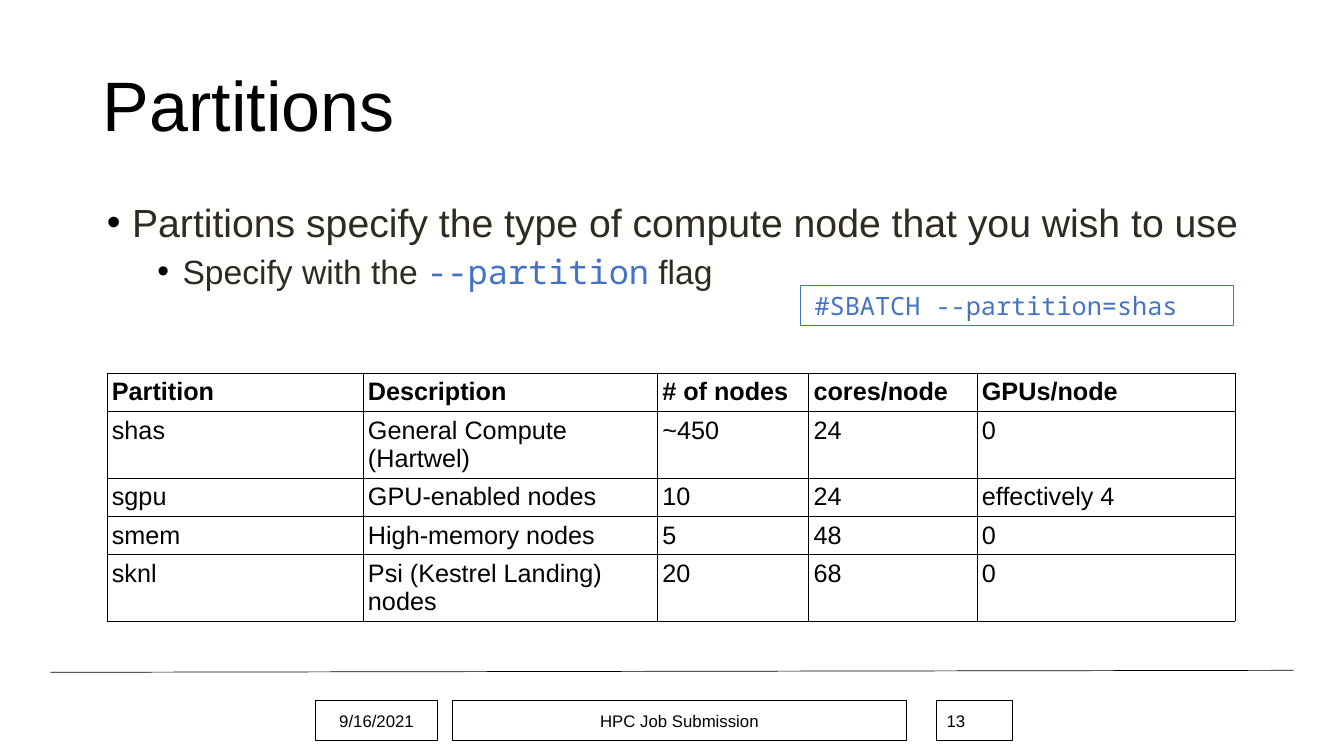
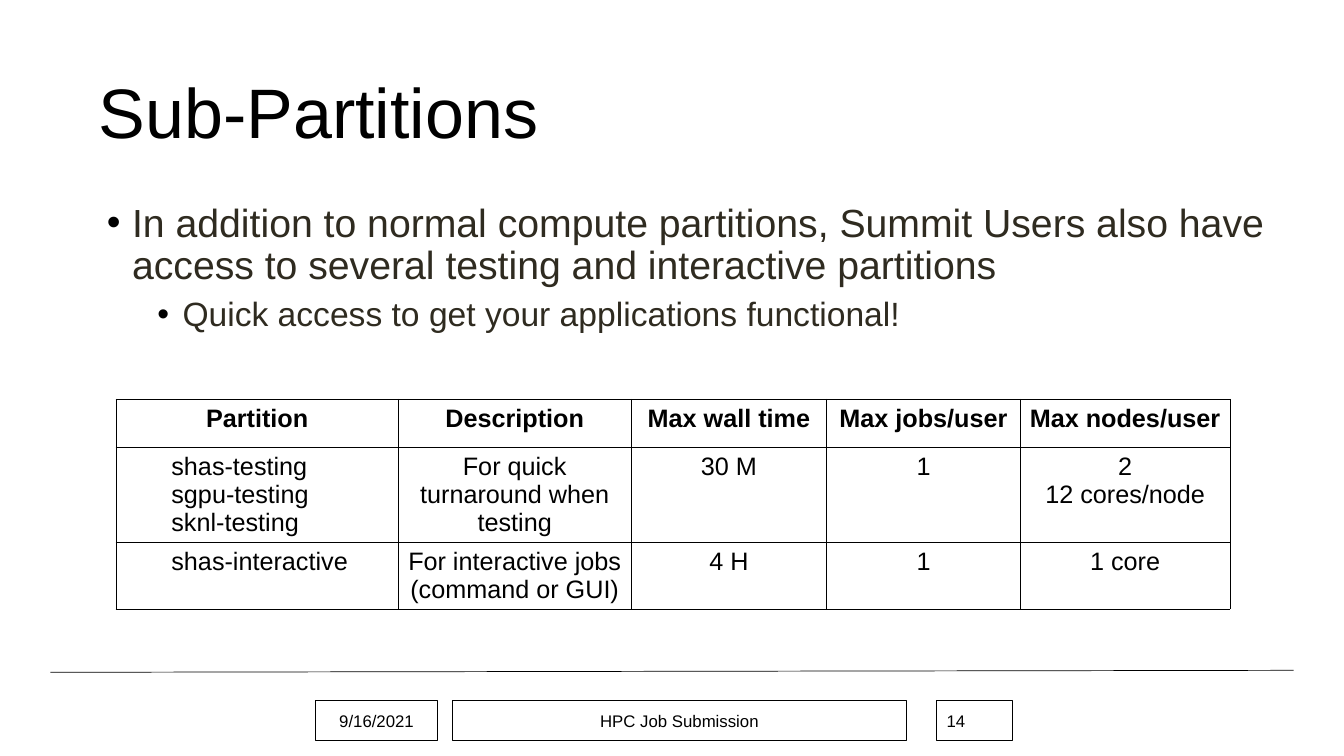
from lxml.etree import SubElement
from pptx import Presentation
from pptx.dml.color import RGBColor
from pptx.enum.shapes import MSO_CONNECTOR, MSO_SHAPE
from pptx.enum.text import MSO_ANCHOR, MSO_AUTO_SIZE, PP_ALIGN
from pptx.oxml import parse_xml
from pptx.oxml.ns import nsdecls, qn
from pptx.util import Inches, Pt

BLACK, BODY_COLOR, CODE_COLOR = "000000", "2F2B20", "4472C4"
TEXT_FONT, CODE_FONT = "Arial", "Noto Sans Mono"

FOOTERS = [
    (3.13, 1.21, "9/16/2021", PP_ALIGN.CENTER),
    (4.49, 4.5, "HPC Job Submission", PP_ALIGN.CENTER),
    (9.29, 0.75, None, PP_ALIGN.LEFT),  # page number
]

SLIDES = [
    {
        "number": 13,
        "title": "Partitions",
        "title_box": (0.92, 0.35, 11.32, 1.45),
        "bullets": [
            (0, ["Partitions specify the type of compute node that you wish to use"]),
            (1, ["Specify with the ", "--partition", " flag"]),
        ],
        "code": "#SBATCH --partition=shas",
        "table_at": (1.06, 3.7),
        "columns": [2.54, 2.92, 1.5, 1.67, 2.56],
        "row_heights": [0.33, 0.54, 0.37, 0.38, 0.54],
        "alignment": PP_ALIGN.LEFT,
        "name_indent": 0,
        "rows": [
            ["Partition", "Description", "# of nodes", "cores/node", "GPUs/node"],
            ["shas", "General Compute (Hartwel)", "~450", "24", "0"],
            ["sgpu", "GPU-enabled nodes", "10", "24", "effectively 4"],
            ["smem", "High-memory nodes", "5", "48", "0"],
            ["sknl", "Psi (Kestrel Landing) nodes", "20", "68", "0"],
        ],
    },
    {
        "number": 14,
        "title": "Sub-Partitions",
        "title_box": (0.88, 0.42, 11.5, 1.45),
        "bullets": [
            (0, ["In addition to normal compute partitions, Summit Users also have "
                 "access to several testing and interactive partitions"]),
            (1, ["Quick access to get your applications functional!"]),
        ],
        "code": None,
        "table_at": (1.15, 3.96),
        "columns": [2.8, 2.31, 1.94, 1.92, 2.08],
        "row_heights": [0.48, 0.7, 0.66],
        "alignment": PP_ALIGN.CENTER,
        "name_indent": 0.5,
        "rows": [
            ["Partition", "Description", "Max wall time", "Max jobs/user", "Max nodes/user"],
            ["shas-testing\nsgpu-testing\nsknl-testing", "For quick turnaround when testing",
             "30 M", "1", "2\n12 cores/node"],
            ["shas-interactive", "For interactive jobs (command or GUI)", "4 H", "1", "1 core"],
        ],
    },
]


def set_font(font, size, color=BLACK, name=TEXT_FONT, bold=False):
    font.size, font.name, font.bold = Pt(size), name, bold
    font.color.rgb = RGBColor.from_string(color)


def add_outlined_box(slide, box, text, alignment, color=BLACK):
    shape = slide.shapes.add_shape(MSO_SHAPE.RECTANGLE, *map(Inches, box))
    shape.shadow.inherit = False
    shape.fill.background()
    shape.line.color.rgb = RGBColor.from_string(color)
    shape.line.width = Pt(0.75)
    shape.text_frame.text = text
    paragraph = shape.text_frame.paragraphs[0]
    paragraph.alignment = alignment
    return shape.text_frame, paragraph


presentation = Presentation()
presentation.slide_width, presentation.slide_height = Inches(13.33), Inches(7.5)

for content in SLIDES:
    slide = presentation.slides.add_slide(presentation.slide_layouts[1])

    title, body = slide.placeholders
    for placeholder, box in ((title, content["title_box"]), (body, (0.92, 1.97, 11.83, 4.55))):
        placeholder.left, placeholder.top, placeholder.width, placeholder.height = map(Inches, box)
        placeholder.text_frame.auto_size = MSO_AUTO_SIZE.NONE

    title.text_frame.text = content["title"]
    title.text_frame.vertical_anchor = MSO_ANCHOR.MIDDLE
    paragraph = title.text_frame.paragraphs[0]
    paragraph.alignment = PP_ALIGN.LEFT
    paragraph.line_spacing = 0.9
    set_font(paragraph.font, 50)

    for index, (level, texts) in enumerate(content["bullets"]):
        frame = body.text_frame
        paragraph = frame.add_paragraph() if index else frame.paragraphs[0]
        paragraph.level = level
        paragraph.line_spacing = 0.9
        paragraph.space_before = Pt(6.5 if index else 0)
        properties = paragraph._p.get_or_add_pPr()
        properties.set("marL", str(Inches(0.29 + 0.5 * level)))
        properties.set("indent", str(Inches(-0.25)))
        bullet_color = SubElement(properties, qn("a:buClr"))
        SubElement(bullet_color, qn("a:srgbClr"), val=BLACK)
        SubElement(properties, qn("a:buFont"), typeface=TEXT_FONT)
        SubElement(properties, qn("a:buChar"), char="•")
        size = 24 if level else 28
        set_font(paragraph.font, size, BODY_COLOR)
        for text in texts:
            run = paragraph.add_run()
            run.text = text
            if text.startswith("--"):
                set_font(run.font, size, CODE_COLOR, CODE_FONT)

    if content["code"]:
        frame, paragraph = add_outlined_box(
            slide, (7.94, 2.83, 4.29, 0.4), content["code"], PP_ALIGN.LEFT, CODE_COLOR)
        frame.vertical_anchor = MSO_ANCHOR.TOP
        paragraph._p.get_or_add_pPr().set("marL", str(Inches(0.04)))
        set_font(paragraph.font, 18, CODE_COLOR, CODE_FONT)

    rows, columns, heights = content["rows"], content["columns"], content["row_heights"]
    left, top = content["table_at"]
    table = slide.shapes.add_table(
        len(rows), len(columns), Inches(left), Inches(top),
        Inches(sum(columns)), Inches(sum(heights))).table
    table.first_row = table.horz_banding = False
    for column, width in zip(table.columns, columns):
        column.width = Inches(width)
    for row, height in zip(table.rows, heights):
        row.height = Inches(height)
    for row_index, texts in enumerate(rows):
        for column_index, text in enumerate(texts):
            cell = table.cell(row_index, column_index)
            cell.margin_left = cell.margin_right = Inches(0.05)
            cell.margin_top = cell.margin_bottom = Inches(0.05)
            for side in "LRTB":
                cell._tc.get_or_add_tcPr().append(parse_xml(
                    f'<a:ln{side} {nsdecls("a")} w="{Pt(0.5)}"><a:solidFill>'
                    f'<a:srgbClr val="{BLACK}"/></a:solidFill></a:ln{side}>'))
            cell.fill.background()
            cell.text = text
            is_name = row_index > 0 and column_index == 0
            for paragraph in cell.text_frame.paragraphs:
                paragraph.alignment = PP_ALIGN.LEFT if is_name else content["alignment"]
                if is_name:
                    indent = Inches(content["name_indent"])
                    paragraph._p.get_or_add_pPr().set("marL", str(indent))
                set_font(paragraph.font, 18, bold=row_index == 0)

    rule = slide.shapes.add_connector(
        MSO_CONNECTOR.STRAIGHT, Inches(0.5), Inches(6.67), Inches(12.83), Inches(6.65))
    rule.line.color.rgb = RGBColor.from_string(BLACK)
    rule.line.width = Pt(0.5)
    SubElement(rule._element.spPr, qn("a:effectLst"))

    for left, width, text, alignment in FOOTERS:
        frame, paragraph = add_outlined_box(
            slide, (left, 6.95, width, 0.4), text or str(content["number"]), alignment)
        frame.vertical_anchor = MSO_ANCHOR.MIDDLE
        set_font(paragraph.font, 12)

presentation.save("out.pptx")
